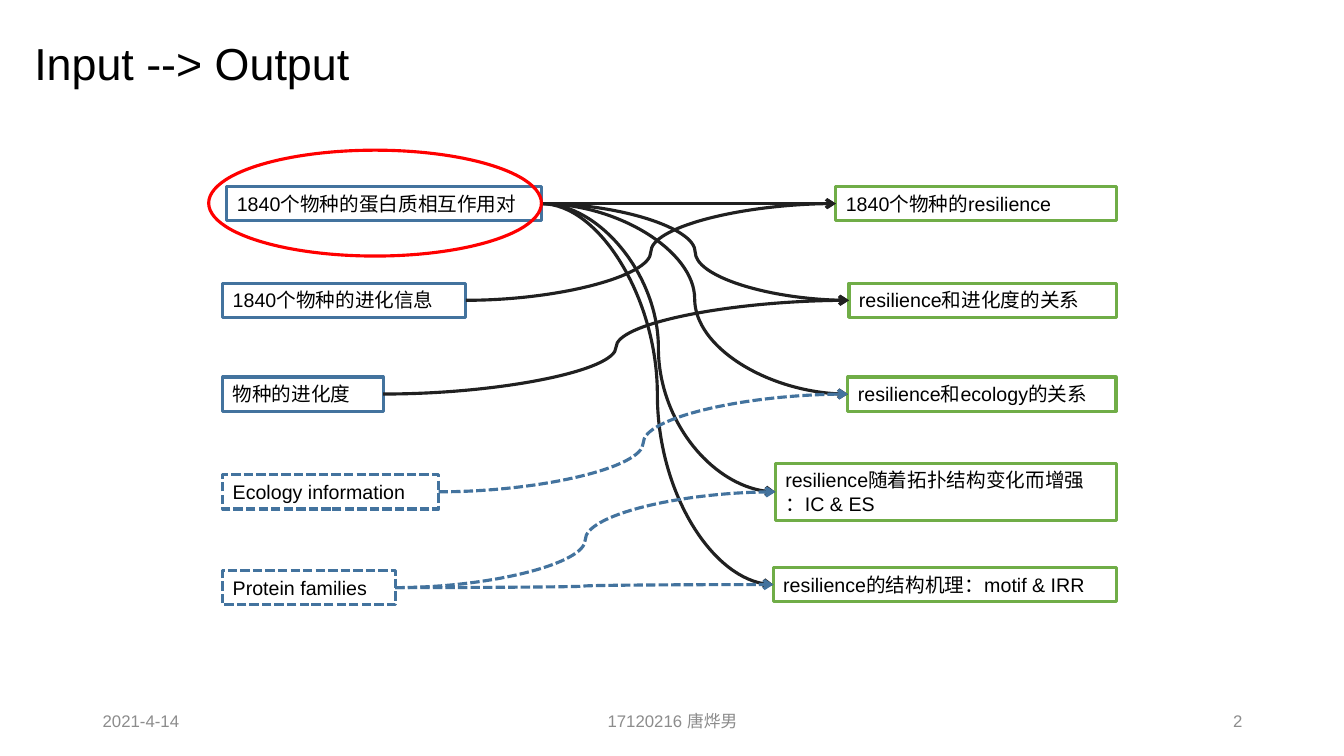
import pptx
import pptx.dml.color
import pptx.enum.dml
import pptx.enum.shapes
import pptx.enum.text
import pptx.oxml
import pptx.util
from pptx.oxml.ns import qn

INK, BLUE, GREEN, RED, GREY = "202020", "43739E", "70AD47", "FF0000", "8C8C8C"
ALIGN = pptx.enum.text.PP_ALIGN
ANCHOR = pptx.enum.text.MSO_ANCHOR
SHAPES = pptx.enum.shapes.MSO_SHAPE

TITLE = "Input --> Output"
# key: (text, left, width, dashed)
INPUTS = {
    "interactions": ("1840个物种的蛋白质相互作用对", 2.25, 3.12, False),
    "evolution": ("1840个物种的进化信息", 2.21, 2.41, False),
    "degree": ("物种的进化度", 2.21, 1.59, False),
    "ecology": ("Ecology information", 2.21, 2.14, True),
    "families": ("Protein families", 2.21, 1.71, True),
}
# key: (text, left, lines of text)
OUTPUTS = {
    "resilience": ("1840个物种的resilience", 8.29, 1),
    "by degree": ("resilience和进化度的关系", 8.42, 1),
    "by ecology": ("resilience和ecology的关系", 8.41, 1),
    "topology": ("resilience随着拓扑结构变化而增强\v：IC & ES", 7.69, 2),
    "mechanism": ("resilience的结构机理：motif & IRR", 7.67, 1),
}
FLOWS = [
    ("interactions", "resilience"),
    ("degree", "by degree"),
    ("interactions", "by degree"),
    ("interactions", "by ecology"),
    ("interactions", "topology"),
    ("interactions", "mechanism"),
    ("evolution", "resilience"),
    ("ecology", "by ecology"),
    ("families", "topology"),
    ("families", "mechanism"),
]
FOOTER = [
    ("2021-4-14", 0.92, 3, ALIGN.LEFT),
    ("17120216 唐烨男", 4.42, 4.5, ALIGN.CENTER),
    ("2", 9.42, 3, ALIGN.RIGHT),
]
INPUT_CENTRES = [2.02, 2.98, 3.91, 4.88, 5.83]
OUTPUT_CENTRES = [2.02, 2.98, 3.91, 4.88, 5.8]
OUTPUT_RIGHT = 11.07
BOX_HEIGHT, EXTRA_LINE = 0.34, 0.23
LEFT_SITE, RIGHT_SITE = 1, 3


def colour(value):
    return pptx.dml.color.RGBColor.from_string(value)


def inches(*lengths):
    return [pptx.util.Inches(length) for length in lengths]


def write(holder, text, size, ink="000000", align=ALIGN.LEFT, anchor=ANCHOR.TOP):
    frame = holder.text_frame
    frame.text = text
    frame.word_wrap = True
    frame.vertical_anchor = anchor
    paragraph = frame.paragraphs[0]
    paragraph.alignment = align
    look = {"name": "Arial", "size": pptx.util.Pt(size)}
    for run in paragraph.runs:
        for key, value in look.items():
            setattr(run.font, key, value)
        run.font.color.rgb = colour(ink)


def stroke(line, ink, dashed=False):
    line.color.rgb = colour(ink)
    line.width = pptx.util.Pt(2.25)
    if dashed:
        line.dash_style = pptx.enum.dml.MSO_LINE.SQUARE_DOT


def outline(slide, preset, place, ink, dashed=False):
    shape = slide.shapes.add_shape(preset, *inches(*place))
    shape.shadow.inherit = False
    shape.fill.background()
    stroke(shape.line, ink, dashed)
    return shape


def box(slide, text, left, centre, width, height, ink, dashed=False):
    place = left, centre - height / 2, width, height
    shape = outline(slide, SHAPES.RECTANGLE, place, ink, dashed)
    write(shape, text, 14)
    return shape


def flow(slide, source, target, dashed):
    curve = slide.shapes.add_connector(
        pptx.enum.shapes.MSO_CONNECTOR.CURVE, 0, 0, 0, 0)
    curve.begin_connect(source, RIGHT_SITE)
    curve.end_connect(target, LEFT_SITE)
    stroke(curve.line, BLUE if dashed else INK, dashed)
    line = curve.line._get_or_add_ln()
    line.append(line.makeelement(qn("a:tailEnd"), {"type": "arrow"}))
    properties = line.getparent()
    properties.append(properties.makeelement(qn("a:effectLst"), {}))


def main():
    deck = pptx.Presentation()
    deck.slide_width, deck.slide_height = inches(13.33, 7.5)
    slide = deck.slides.add_slide(deck.slide_layouts[5])

    title = slide.shapes.title
    for side, length in zip(("left", "top", "width", "height"),
                            inches(0.24, 0.3, 3.87, 0.64)):
        setattr(title, side, length)
    write(title, TITLE, 32)

    for text, left, width, align in FOOTER:
        note = slide.shapes.add_textbox(*inches(left, 6.95, width, 0.4))
        write(note, text, 12, GREY, align, ANCHOR.MIDDLE)

    boxes = {}
    for (key, (text, left, width, dashed)), centre in zip(
            INPUTS.items(), INPUT_CENTRES):
        boxes[key] = box(slide, text, left, centre, width, BOX_HEIGHT,
                         BLUE, dashed)
    for (key, (text, left, lines)), centre in zip(
            OUTPUTS.items(), OUTPUT_CENTRES):
        height = BOX_HEIGHT + (lines - 1) * EXTRA_LINE
        boxes[key] = box(slide, text, left, centre, OUTPUT_RIGHT - left,
                         height, GREEN)

    for source, target in FLOWS:
        flow(slide, boxes[source], boxes[target], INPUTS[source][-1])

    outline(slide, SHAPES.OVAL, (2.07, 1.49, 3.3, 1.05), RED)
    deck.save("out.pptx")


if __name__ == "__main__":
    main()
